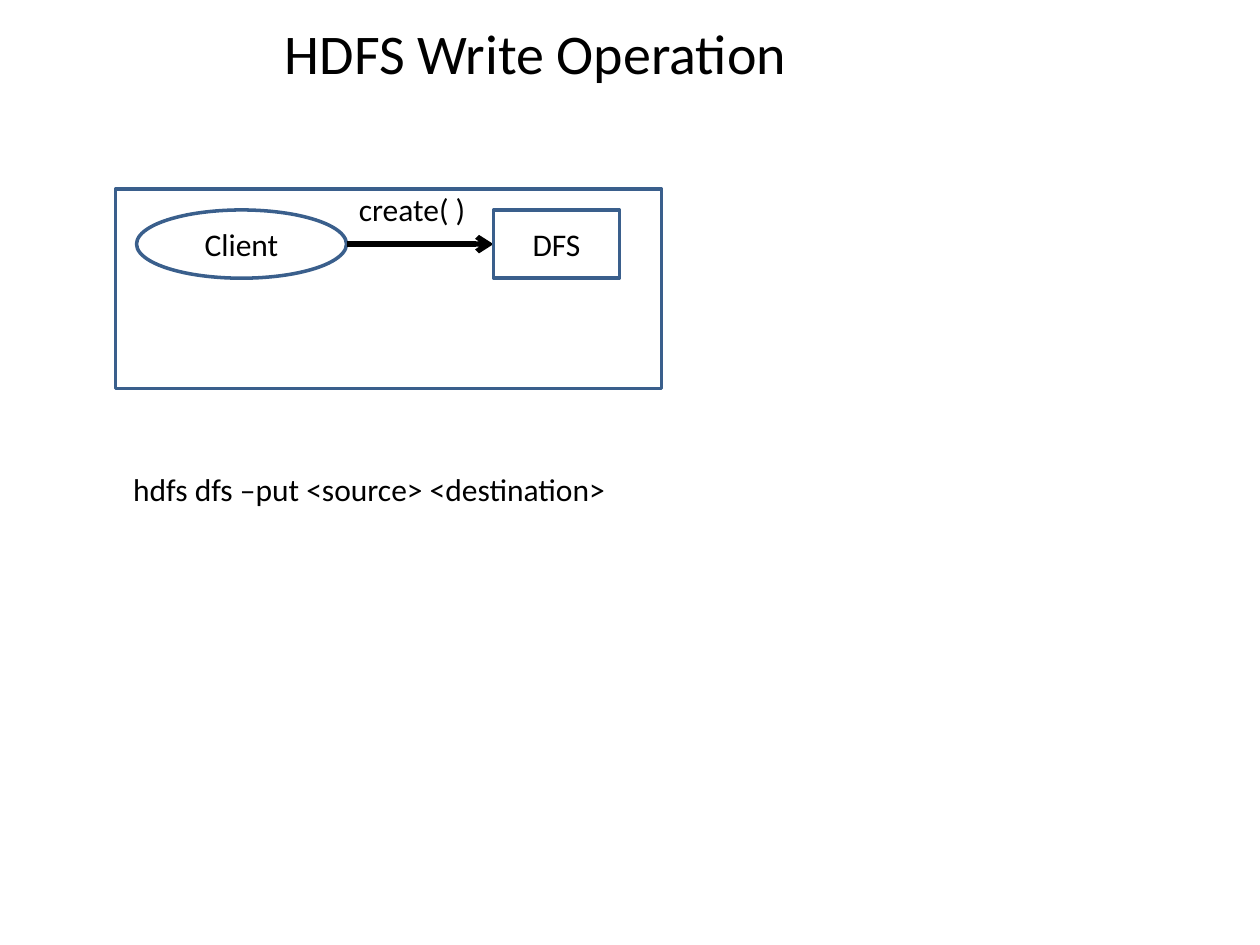
from lxml import etree
from pptx import Presentation
from pptx import util as u
from pptx.dml import color
from pptx.enum import shapes, text
from pptx.oxml import ns

COLORS = {"ink": "000000", "outline": "3A5F8C"}
FONT = "Calibri"


def rgb(name):
    return color.RGBColor.from_string(COLORS[name])


def points(*values):
    return [u.Pt(value) for value in values]


def write(shape, words, size=18, align=text.PP_ALIGN.LEFT,
          anchor=text.MSO_ANCHOR.TOP, wrap=True, fit=text.MSO_AUTO_SIZE.NONE):
    frame = shape.text_frame
    frame_format = {"word_wrap": wrap, "auto_size": fit, "vertical_anchor": anchor}
    for name, value in frame_format.items():
        setattr(frame, name, value)
    para = frame.paragraphs[0]
    para.alignment = align
    span = para.add_run()
    span.text = words
    for name, value in {"name": FONT, "size": u.Pt(size)}.items():
        setattr(span.font, name, value)
    span.font.color.rgb = rgb("ink")


def add_label(parent, box, words, wrap=True):
    label = parent.add_textbox(*points(*box))
    write(label, words, wrap=wrap, fit=text.MSO_AUTO_SIZE.SHAPE_TO_FIT_TEXT)


def add_outline(page, kind, box, words=None):
    shape = page.shapes.add_shape(kind, *points(*box))
    shape.shadow.inherit = False
    shape.fill.background()
    shape.line.color.rgb = rgb("outline")
    shape.line.width = u.Pt(2)
    if words:
        write(shape, words, align=text.PP_ALIGN.CENTER, anchor=text.MSO_ANCHOR.MIDDLE)
    return shape


def add_arrow(parent, start, end, target):
    arrow = parent.add_connector(shapes.MSO_CONNECTOR.STRAIGHT, *points(*start, *end))
    arrow.end_connect(target, 1)
    arrow.line.color.rgb = rgb("ink")
    arrow.line.width = u.Pt(3)
    etree.SubElement(arrow.line._get_or_add_ln(), ns.qn("a:tailEnd"), type="arrow")
    etree.SubElement(arrow._element.spPr, ns.qn("a:effectLst"))


def add_title(page, box, words):
    title = page.shapes.title
    for name, value in zip(("left", "top", "width", "height"), points(*box)):
        setattr(title, name, value)
    write(title, words, size=32, align=text.PP_ALIGN.JUSTIFY)


def add_client_node(page, box):
    left, top, width, height = box
    inset, node_height = 12, 39
    node_top = top + inset
    middle = node_top + node_height / 2
    client_left, client_width = left + inset, 120
    client_right = client_left + client_width
    dfs_left, dfs_width = left + 216, 72

    add_outline(page, shapes.MSO_SHAPE.RECTANGLE, box)
    add_outline(page, shapes.MSO_SHAPE.OVAL,
                (client_left, node_top, client_width, node_height), "Client")
    call = page.shapes.add_group_shape()
    dfs = add_outline(page, shapes.MSO_SHAPE.RECTANGLE,
                      (dfs_left, node_top, dfs_width, node_height), "DFS")
    add_arrow(call.shapes, (client_right, middle), (dfs_left, middle), dfs)
    add_label(call.shapes, (client_right, top - 3, 96, 29), "create( )")


def main():
    deck = Presentation()
    deck.slide_width, deck.slide_height = points(720, 540)
    page = deck.slides.add_slide(deck.slide_layouts[5])
    add_title(page, (155.5, 7, 325.5, 46), "HDFS Write Operation")
    add_client_node(page, (66, 108, 312, 114))
    add_label(page.shapes, (69, 265, 292.5, 29),
              "hdfs dfs –put <source> <destination>", wrap=False)
    deck.save("out.pptx")


if __name__ == "__main__":
    main()
